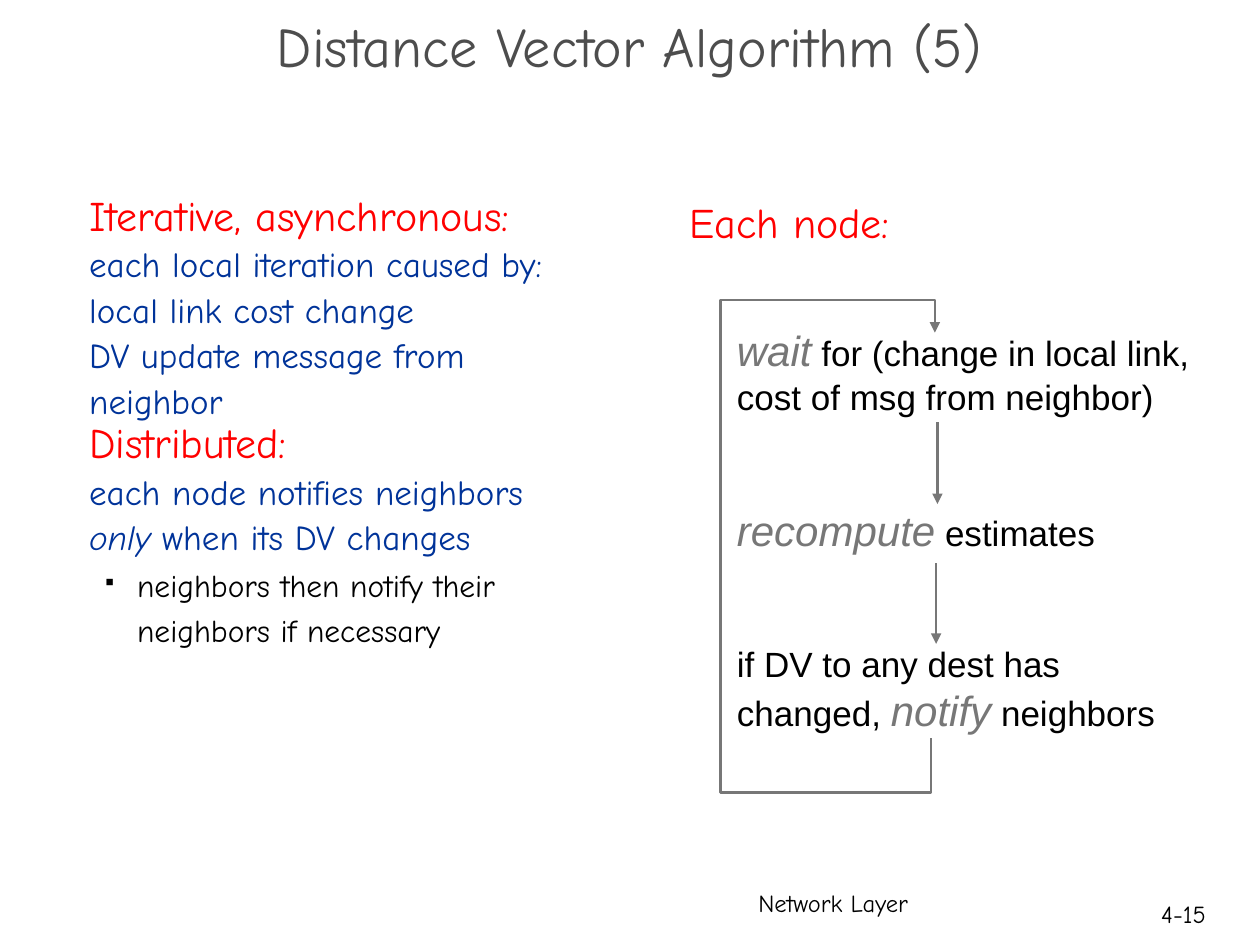
from dataclasses import dataclass
from typing import NamedTuple

from pptx import Presentation
from pptx import util as u
from pptx.dml.color import RGBColor
from pptx.enum import shapes, text
from pptx.oxml import parse_xml
from pptx.oxml.ns import nsdecls

COLS, ROWS = 100, 75
UNIT = u.Inches(0.1)
LEFT, MID, RIGHT = text.PP_ALIGN.LEFT, text.PP_ALIGN.CENTER, text.PP_ALIGN.RIGHT
TOP, CENTER = text.MSO_ANCHOR.TOP, text.MSO_ANCHOR.MIDDLE


@dataclass(frozen=True)
class Theme:
    hand: str = "Comic Neue"
    sans: str = "Arial"
    title: int = 32
    head: int = 24
    body: int = 20
    sub: int = 18
    foot: int = 14
    grey: str = "4D4D4D"
    red: str = "FF0000"
    blue: str = "003399"
    black: str = "000000"
    flow: str = "777777"
    stroke: float = 1.5


T = Theme()


class Run(NamedTuple):
    text: str
    size: int
    color: str
    font: str = T.hand
    slant: bool = False


class Para(NamedTuple):
    runs: list[Run]
    align: text.PP_ALIGN = LEFT
    lead: float | u.Pt | None = None
    before: float = 0
    bullet: bool = False


class Box(NamedTuple):
    """Text block placed in grid columns and rows."""
    col: float
    row: float
    wide: float
    high: float
    paras: list[Para]
    anchor: text.MSO_ANCHOR = TOP
    wrap: bool = True


def grid(n: float) -> int:
    return round(n * UNIT)


def add_bullet(para) -> None:
    props = para._p.get_or_add_pPr()
    props.set("marL", str(u.Inches(0.38)))
    props.set("indent", str(u.Inches(-0.25)))
    for tag in (
        f'<a:buClr {nsdecls("a")}><a:srgbClr val="{T.black}"/></a:buClr>',
        f'<a:buSzPct {nsdecls("a")} val="35000"/>',
        f'<a:buChar {nsdecls("a")} char="■"/>',
    ):
        props.append(parse_xml(tag))


def add_box(slide, box: Box) -> None:
    frame = slide.shapes.add_textbox(*map(grid, box[:4])).text_frame
    frame.word_wrap = box.wrap
    frame.vertical_anchor = box.anchor
    for i, item in enumerate(box.paras):
        para = frame.add_paragraph() if i else frame.paragraphs[0]
        para.alignment = item.align
        para.space_before = u.Pt(item.before)
        if item.lead:
            para.line_spacing = item.lead
        if item.bullet:
            add_bullet(para)
        for part in item.runs:
            run = para.add_run()
            run.text = part.text
            run.font.size = u.Pt(part.size)
            run.font.name = part.font
            run.font.italic = part.slant
            run.font.color.rgb = RGBColor.from_string(part.color)


def style(shape) -> None:
    """Give a flow line its stroke and end arrow, without a shadow."""
    shape.line.color.rgb = RGBColor.from_string(T.flow)
    shape.line.width = u.Pt(T.stroke)
    shape.line._get_or_add_ln().append(
        parse_xml(f'<a:tailEnd {nsdecls("a")} type="triangle"/>'))


def add_arrow(slide, col: float, start: float, end: float) -> None:
    line = slide.shapes.add_connector(
        shapes.MSO_CONNECTOR.STRAIGHT, *map(grid, (col, start, col, end)))
    style(line)
    line._element.spPr.append(parse_xml(f'<a:effectLst {nsdecls("a")}/>'))


def add_loop(slide, points: list[tuple[float, float]]) -> None:
    first, *rest = [(grid(x), grid(y)) for x, y in points]
    pen = slide.shapes.build_freeform(*first)
    pen.add_line_segments(rest, close=False)
    loop = pen.convert_to_shape()
    loop.fill.background()
    style(loop)
    loop.shadow.inherit = False


def head(words: str) -> Run:
    return Run(words, T.head, T.red)


def body(words: str, slant: bool = False) -> Run:
    return Run(words, T.body, T.blue, slant=slant)


def verb(words: str) -> Run:
    return Run(words, T.head, T.flow, T.sans, True)


def step(words: str) -> Run:
    return Run(words, T.body, T.black, T.sans)


def foot(words: str) -> Run:
    return Run(words, T.foot, T.black)


LEAD = u.Pt(26)
GAP = 50
TRAITS = [
    [head("Iterative, asynchronous: "), body("each local iteration caused by:")],
    [body("local link cost change")],
    [body("DV update message from neighbor")],
    [head("Distributed:")],
    [body("each node notifies neighbors "), body("only", True),
     body(" when its DV changes")],
]
NOTE = [Run("neighbors then notify their neighbors if necessary", T.sub, T.black)]
STEPS = [
    [verb("wait"), step(" for (change in local link, cost of msg from neighbor)")],
    [verb("recompute"), step(" estimates")],
    [step("if DV to any dest has changed, "), verb("notify"), step(" neighbors")],
]
BOXES = [
    Box(59.2, 70, 31.7, 5, [Para([foot("Network Layer")])]),
    Box(89.3, 70, 7.4, 5, [Para([foot("4-15")], RIGHT)], CENTER, False),
    Box(0, 1.7, COLS, 5, [Para(
        [Run("Distance Vector Algorithm (5)", T.title, T.grey)], MID, 0.7)], CENTER),
    Box(6.1, 14.9, 41.4, 50.8,
        [Para(runs, lead=LEAD) for runs in TRAITS]
        + [Para(NOTE, lead=LEAD, bullet=True)]),
    Box(57.5, 25.3, 38.5, 38.1,
        [Para(runs, before=GAP if i else 0) for i, runs in enumerate(STEPS)]),
    Box(53.7, 15.1, 17.9, 5, [Para([head("Each node:")], MID)], wrap=False),
]
ARROWS = [(74.4, 33.5, 40), (74.3, 44.7, 51.1)]
LOOP = [(73.9, 58.6), (73.9, 62.9), (57.2, 62.9),
        (57.2, 23.8), (74.2, 23.8), (74.2, 26.4)]


def main() -> None:
    deck = Presentation()
    deck.slide_width, deck.slide_height = grid(COLS), grid(ROWS)
    slide = deck.slides.add_slide(deck.slide_layouts[6])
    for box in BOXES:
        add_box(slide, box)
    for arrow in ARROWS:
        add_arrow(slide, *arrow)
    add_loop(slide, LOOP)
    deck.save("out.pptx")


if __name__ == "__main__":
    main()
